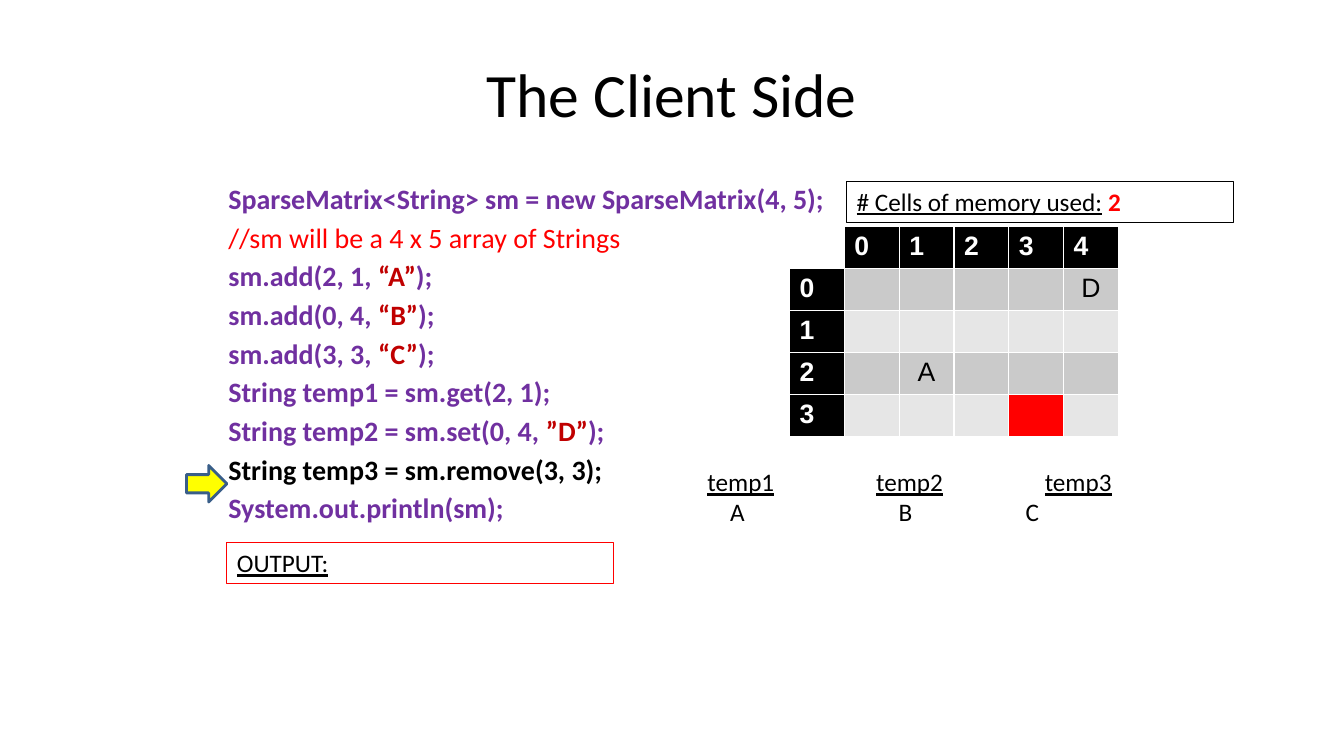
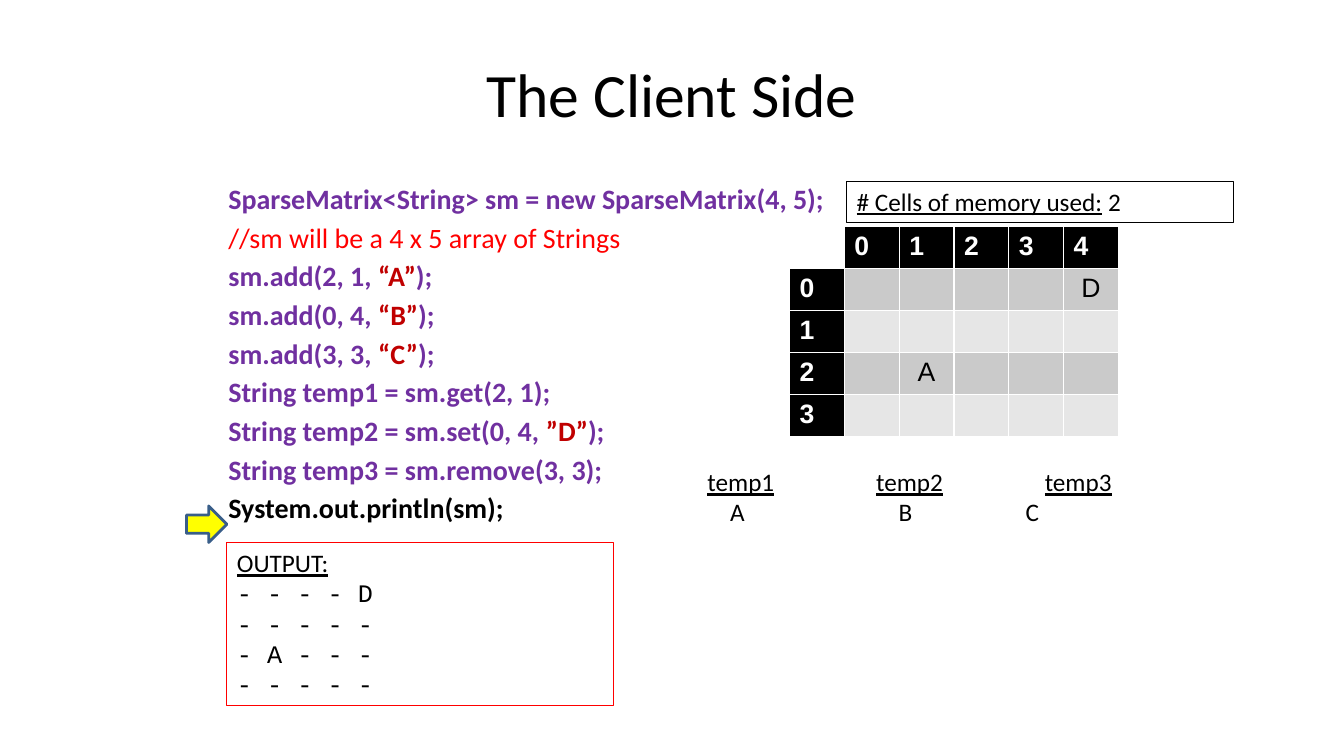
from dataclasses import dataclass, field

from lxml import etree
from pptx import Presentation
from pptx.dml.color import RGBColor
from pptx.enum.shapes import MSO_SHAPE
from pptx.enum.text import MSO_ANCHOR, MSO_AUTO_SIZE, PP_ALIGN
from pptx.oxml.ns import qn
from pptx.util import Cm, Pt

RECT, ARROW = MSO_SHAPE.RECTANGLE, MSO_SHAPE.RIGHT_ARROW
TOP, MIDDLE = MSO_ANCHOR.TOP, MSO_ANCHOR.MIDDLE
FIXED, GROW = MSO_AUTO_SIZE.NONE, MSO_AUTO_SIZE.SHAPE_TO_FIT_TEXT
LEFT, CENTER = PP_ALIGN.LEFT, PP_ALIGN.CENTER


def font(size, color="000000", name="Calibri", bold=False, underline=False):
    """Return the format values of one text style."""
    return dict(size=Pt(size), color=color, name=name, bold=bold, underline=underline)


@dataclass
class Theme:
    """Colours and text styles shared by the slides."""
    black: str = "000000"
    white: str = "FFFFFF"
    red: str = "FF0000"
    yellow: str = "FFFF00"
    blue: str = "395E89"
    bands: tuple = ("CACACA", "E6E6E6")
    text: dict = field(default_factory=lambda: {
        "title": font(44),
        "code": font(20, "7030A0", bold=True),
        "string": font(20, "C00000", bold=True),
        "note": font(20, "FF0000"),
        "active": font(20, bold=True),
        "plain": font(18),
        "label": font(18, underline=True),
        "alert": font(18, "FF0000", bold=True),
        "print": font(18, name="Courier New"),
        "head": font(19, "FFFFFF", "Arial", bold=True),
        "cell": font(19, name="Arial"),
    })


class Deck:
    """Holds the theme, the file and the current slide."""

    def __init__(self, theme):
        """Start an empty wide file."""
        self.theme = theme
        self.file = Presentation()
        self.file.slide_width, self.file.slide_height = Cm(33.87), Cm(19.05)
        self.slide = None

    def place(self, shape, *area):
        """Move a shape to left, top, width, height in centimetres."""
        for name, value in zip(("left", "top", "width", "height"), area):
            setattr(shape, name, Cm(value))

    def put(self, frame, lines, align=LEFT, gap=0, **form):
        """Put lines of (text, style) runs into a text frame."""
        for name, value in form.items():
            setattr(frame, name, value)
        for row, runs in enumerate(lines):
            para = frame.add_paragraph() if row else frame.paragraphs[0]
            para.alignment = align
            para.space_before = Pt(gap if row else 0)
            for text, style in runs:
                run = para.add_run()
                run.text = text
                for name, value in self.theme.text[style].items():
                    if name == "color":
                        run.font.color.rgb = RGBColor.from_string(value)
                    else:
                        setattr(run.font, name, value)

    def title(self, text):
        """Add a slide with its title."""
        self.slide = self.file.slides.add_slide(self.file.slide_layouts[1])
        shape = self.slide.shapes.title
        self.place(shape, 5.5, 0.76, 22.86, 3.18)
        self.put(shape.text_frame, [[(text, "title")]], CENTER,
                 vertical_anchor=MIDDLE, auto_size=FIXED)

    def code(self, lines, active):
        """List code lines, with the active one in black."""
        rows = []
        for row, line in enumerate(lines):
            main = "note" if line.startswith("//") else "code"
            styles = ("active",) * 2 if row == active else (main, "string")
            rows.append([(part, styles[i % 2]) for i, part in enumerate(line.split("|"))])
        shape = self.slide.placeholders[1]
        self.place(shape, 5.5, 4.45, 22.86, 12.57)
        self.put(shape.text_frame, rows, gap=3.6, vertical_anchor=TOP, auto_size=FIXED)
        for para in shape.text_frame.paragraphs:
            props = para._p.get_or_add_pPr()
            props.set("marL", "0")
            props.set("indent", "0")
            etree.SubElement(props, qn("a:buNone"))

    def shape(self, kind, area, line, width, fill=None):
        """Add a preset shape and return it."""
        shape = self.slide.shapes.add_shape(kind, *map(Cm, area))
        shape.shadow.inherit = False
        shape.line.color.rgb = RGBColor.from_string(line)
        shape.line.width = Pt(width)
        if fill:
            shape.fill.solid()
            shape.fill.fore_color.rgb = RGBColor.from_string(fill)
        else:
            shape.fill.background()
        return shape

    def box(self, area, line, lines):
        """Add an outlined box of text."""
        shape = self.shape(RECT, area, line, 0.75)
        self.put(shape.text_frame, lines, vertical_anchor=TOP, auto_size=GROW, word_wrap=True)

    def arrow(self, row):
        """Point an arrow at a code line."""
        self.shape(ARROW, (4.7, 4.59 + 1.02 * row, 1.02, 0.92),
                   self.theme.blue, 2, self.theme.yellow)

    def grid(self, rows, cols, values, marked):
        """Add the matrix with its row and column heads."""
        wide, high = 1.38, 1.06
        table = self.slide.shapes.add_table(
            rows + 1, cols + 1, Cm(19.9), Cm(5.71),
            Cm(wide * (cols + 1)), Cm(high * (rows + 1))).table
        for r in range(rows + 1):
            for c in range(cols + 1):
                spot = (r - 1, c - 1)
                head = r == 0 or c == 0
                if head:
                    text = str(r + c - 1) if r + c else ""
                    fill = self.theme.black if text else self.theme.white
                else:
                    text = values.get(spot, "")
                    fill = self.theme.red if spot == marked else self.theme.bands[(r - 1) % 2]
                cell = table.cell(r, c)
                cell.fill.solid()
                cell.fill.fore_color.rgb = RGBColor.from_string(fill)
                if text:
                    self.put(cell.text_frame, [[(text, "head" if head else "cell")]],
                             LEFT if head else CENTER)

    def temps(self, lines, stops):
        """Add tabbed lines, each with its own stops."""
        shape = self.slide.shapes.add_textbox(Cm(17.58), Cm(11.63), Cm(10.8), Cm(1.8))
        self.put(shape.text_frame, lines, word_wrap=True, auto_size=GROW)
        for para, places in zip(shape.text_frame.paragraphs, stops):
            tabs = etree.SubElement(para._p.get_or_add_pPr(), qn("a:tabLst"))
            for place in places:
                etree.SubElement(tabs, qn("a:tab"), pos=str(Cm(place)), algn="l")


CODE = [
    "SparseMatrix<String> sm = new SparseMatrix(4, 5);",
    "//sm will be a 4 x 5 array of Strings",
    "sm.add(2, 1, |“A”|);",
    "sm.add(0, 4, |“B”|);",
    "sm.add(3, 3, |“C”|);",
    "String temp1 = sm.get(2, 1);",
    "String temp2 = sm.set(0, 4, |”D”|);",
    "String temp3 = sm.remove(3, 3);",
    "System.out.println(sm);",
]
VALUES = {(0, 4): "D", (2, 1): "A"}
TEMPS = [
    [("temp1", "label"), ("\t", "plain"), ("temp2", "label"),
     ("\t", "plain"), ("temp3", "label")],
    [("\tA\tB\tC", "plain")],
]
STOPS = [(4.25, 8.5), (0.57, 4.82, 8.02)]
PRINT = ["- - - - D", "- - - - -", "- A - - -", "- - - - -"]
STEPS = [
    dict(active=7, marked=(3, 3), count="alert", output=[], high=1.03),
    dict(active=8, marked=None, count="plain", output=PRINT, high=4.11),
]


def main():
    """Build both steps and save the file."""
    deck = Deck(Theme())
    for step in STEPS:
        deck.title("The Client Side")
        deck.code(CODE, step["active"])
        deck.grid(4, 5, VALUES, step["marked"])
        deck.temps(TEMPS, STOPS)
        deck.box((5.72, 13.67, 9.74, step["high"]), deck.theme.red,
                 [[("OUTPUT:", "label")]] + [[(line, "print")] for line in step["output"]])
        deck.arrow(step["active"])
        deck.box((21.34, 4.57, 9.74, 1.03), deck.theme.black,
                 [[("# Cells of memory used:", "label"), (" ", "plain"), ("2", step["count"])]])
    deck.file.save("out.pptx")


if __name__ == "__main__":
    main()
